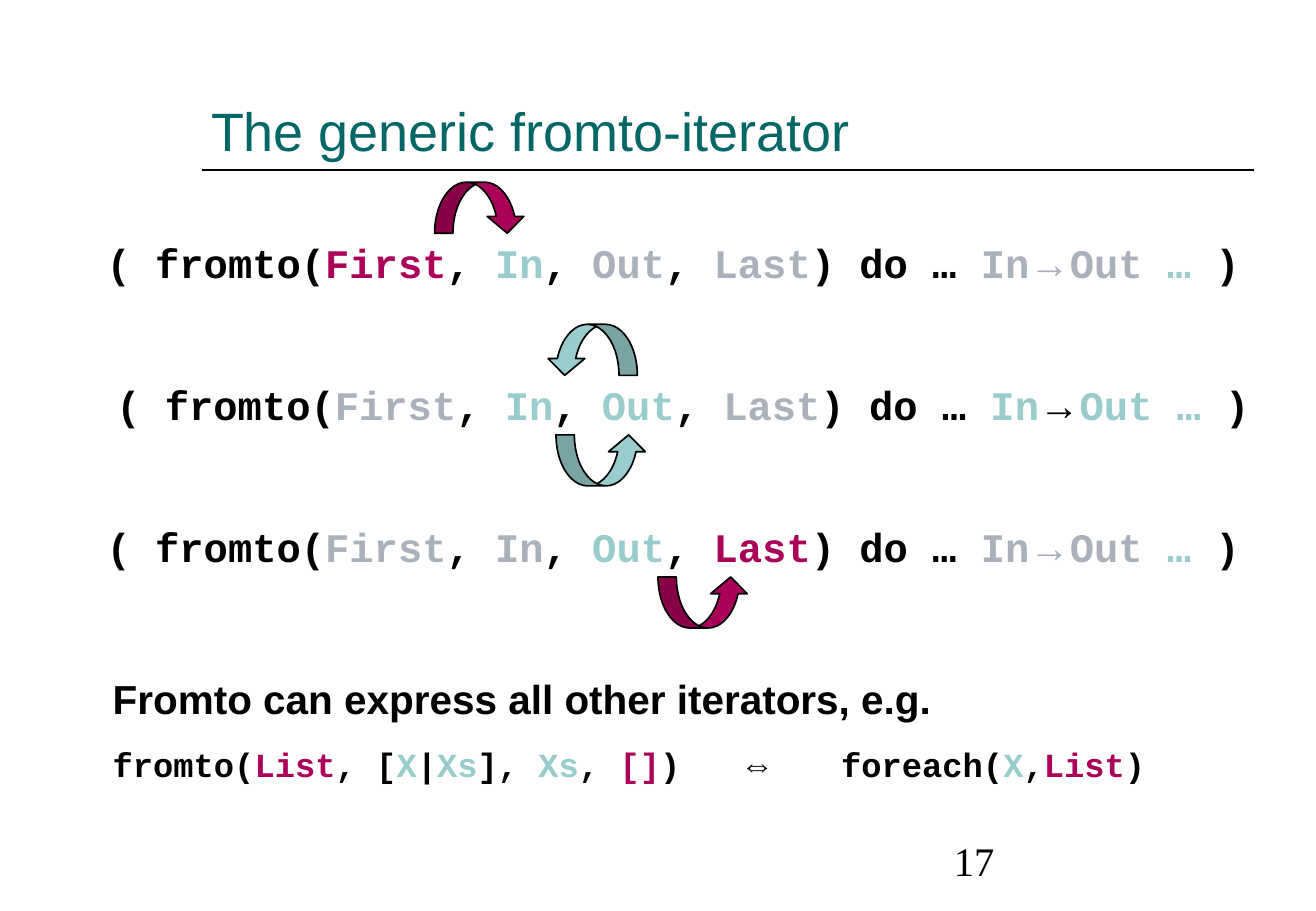
"""Build the slide about the generic fromto-iterator."""
from lxml import etree
from pptx import Presentation, util as u
from pptx.dml.color import RGBColor
from pptx.enum import shapes, text
from pptx.oxml.ns import qn

PX = 9144
C = {"black": "000000", "green": "006666", "teal": "99CCCC",
     "red": "AB0057", "grey": "AAB1BA"}
MONO, SANS, SERIF = "Courier New", "Arial", "Times New Roman"


def add_box(x, y, w, h, anchor=text.MSO_ANCHOR.TOP):
    tf = s.shapes.add_textbox(x * PX, y * PX, w * PX, h * PX).text_frame
    tf.word_wrap = True
    tf.vertical_anchor = anchor
    return tf


def write(p, runs, size, bold=True, **fmt):
    for key, value in fmt.items():
        setattr(p, key, value)
    for words, colour, font in runs:
        r = p.add_run()
        r.text = words
        for key, value in {"size": u.Pt(size), "bold": bold, "name": font}.items():
            setattr(r.font, key, value)
        r.font.color.rgb = RGBColor.from_string(C[colour])


prs = Presentation()
prs.slide_width, prs.slide_height = 1084 * PX, 750 * PX
s = prs.slides.add_slide(prs.slide_layouts[6])

rule = s.shapes.add_connector(shapes.MSO_CONNECTOR.STRAIGHT,
                              166 * PX, 140 * PX, 1033 * PX, 140 * PX)
rule.line.color.rgb = RGBColor.from_string(C["black"])
rule.line.width = u.Pt(1)
etree.SubElement(rule._element.spPr, qn("a:effectLst"))

tf = add_box(164, 33, 865, 106, text.MSO_ANCHOR.BOTTOM)
write(tf.paragraphs[0], [("The generic fromto-iterator", "green", SANS)], 32, bold=False)

DOWN = shapes.MSO_SHAPE.CURVED_DOWN_ARROW
UP = shapes.MSO_SHAPE.CURVED_UP_ARROW
arrows = [(358, 150, DOWN, 0, "red"), (450, 267, UP, 180, "teal"),
          (458, 358, UP, 0, "teal"), (542, 475, UP, 0, "red")]
for x, y, kind, turn, colour in arrows:
    sp = s.shapes.add_shape(kind, x * PX, y * PX, 75 * PX, 42 * PX)
    for i, value in enumerate((0.36, 0.72, 0.33)):
        sp.adjustments[i] = value
    sp.rotation = turn
    sp.shadow.inherit = False
    sp.fill.solid()
    sp.fill.fore_color.rgb = RGBColor.from_string(C[colour])
    sp.line.color.rgb = RGBColor.from_string(C["black"])
    sp.line.width = u.Pt(1)

steps = [
    (67, 98, ("red", "teal", "grey", "grey"), ("grey", "grey", "grey")),
    (75, 98, ("grey", "teal", "teal", "grey"), ("teal", "black", "teal")),
    (67, 58, ("grey", "grey", "teal", "red"), ("grey", "grey", "grey")),
]
for n, (x, h, args, body) in enumerate(steps):
    runs = []
    for lead, word, colour in zip(("( fromto(", ", ", ", ", ", "),
                                  ("First", "In", "Out", "Last"), args):
        runs += [(lead, "black", MONO), (word, colour, MONO)]
    runs.append((") do … ", "black", MONO))
    runs += zip(("In", "→", "Out"), body, (MONO, SANS, MONO))
    runs += [(" …", "teal", MONO), (" )", "black", MONO)]
    tf = add_box(x, 183 + 117 * n, 975, h)
    write(tf.paragraphs[0], runs, 24, alignment=text.PP_ALIGN.CENTER,
          line_spacing=1.2, space_before=u.Pt(6))

tf = add_box(83, 550, 950, 101)
write(tf.paragraphs[0], [("Fromto can express all other iterators, e.g.", "black", SANS)],
      24, space_before=u.Pt(15))
example = [("fromto(", "black"), ("List", "red"), (", [", "black"), ("X", "teal"),
           ("|", "black"), ("Xs", "teal"), ("], ", "black"), ("Xs", "teal"),
           (", ", "black"), ("[]", "red"), (")\t", "black"), ("⇔\t", "black"),
           ("foreach(", "black"), ("X", "teal"), (",", "black"), ("List", "red"),
           (")", "black")]
p = tf.add_paragraph()
write(p, [(words, colour, SANS if "⇔" in words else MONO) for words, colour in example],
      20, space_before=u.Pt(12.5))
tabs = etree.SubElement(p._p.get_or_add_pPr(), qn("a:tabLst"))
for stop in (517, 600):
    etree.SubElement(tabs, qn("a:tab"), pos=str(stop * PX), algn="l")

tf = add_box(776, 683, 253, 50, text.MSO_ANCHOR.BOTTOM)
write(tf.paragraphs[0], [("17", "black", SERIF)], 24, bold=False)

prs.save("out.pptx")
